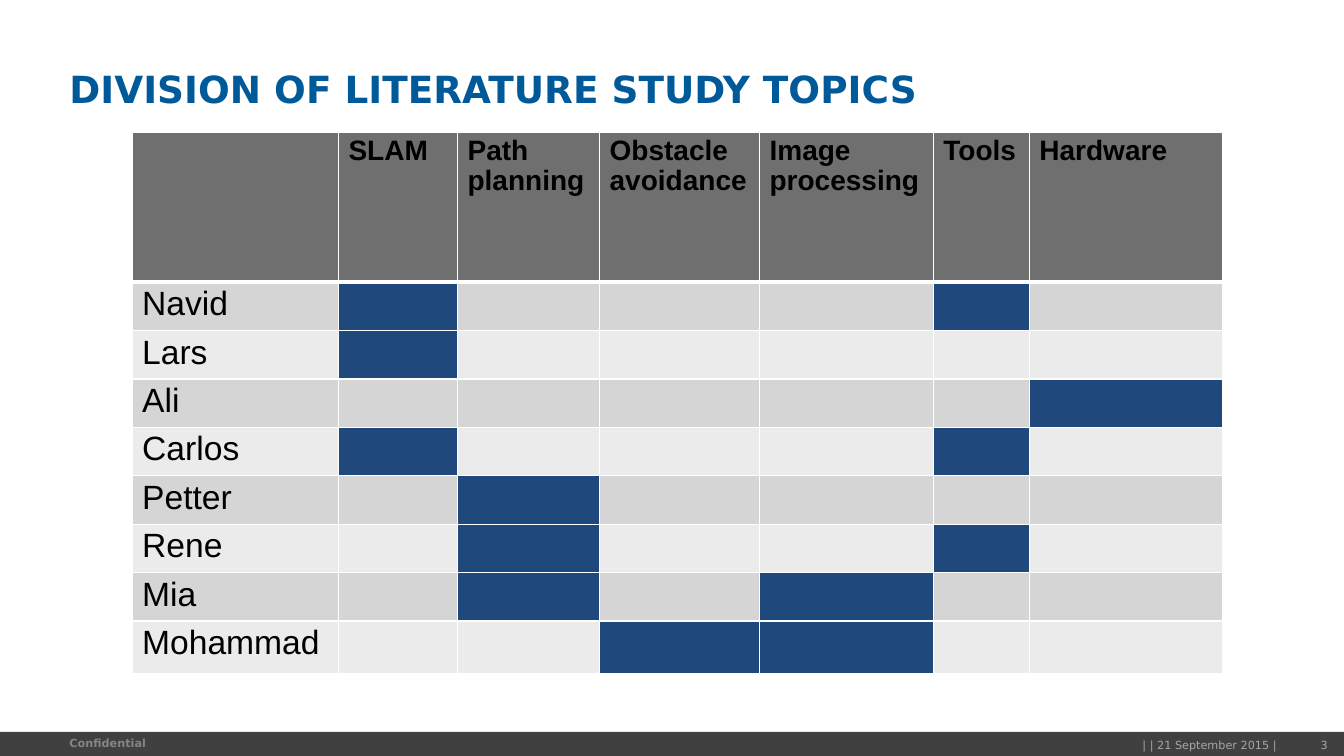
from lxml import etree
from pptx import Presentation
from pptx.dml.color import RGBColor
from pptx.enum.shapes import MSO_SHAPE
from pptx.enum.text import MSO_ANCHOR, PP_ALIGN
from pptx.oxml.ns import qn
from pptx.util import Cm, Pt

RECT = MSO_SHAPE.RECTANGLE
MIDDLE, BOTTOM = MSO_ANCHOR.MIDDLE, MSO_ANCHOR.BOTTOM
LEFT, RIGHT = PP_ALIGN.LEFT, PP_ALIGN.RIGHT

SANS, ARIAL = "DejaVu Sans", "Arial"
HEAD, DARK, LIGHT, MARK = "6F6F6F", "D5D5D5", "EBEBEB", "1F497D"

TOPICS = ["SLAM", "Path planning", "Obstacle avoidance",
          "Image processing", "Tools", "Hardware"]
PEOPLE = {
    "Navid": ["SLAM", "Tools"],
    "Lars": ["SLAM"],
    "Ali": ["Hardware"],
    "Carlos": ["SLAM", "Tools"],
    "Petter": ["Path planning"],
    "Rene": ["Path planning", "Tools"],
    "Mia": ["Path planning", "Image processing"],
    "Mohammad": ["Obstacle avoidance", "Image processing"],
}
WIDTHS = [5.2, 3, 3.58, 4.03, 4.38, 2.42, 4.86]
HEIGHTS = [3.78] + [1.2] * 7 + [1.32]


def color(code):
    return RGBColor.from_string(code)


def write(frame, text, size, ink, font=SANS, bold=False, align=LEFT, space=0.95):
    para = frame.paragraphs[0]
    para.alignment = align
    para.line_spacing = space
    run = para.add_run()
    run.text = text
    run.font.name = font
    run.font.size = Pt(size)
    run.font.bold = bold
    run.font.color.rgb = color(ink)


def label(slide, box, text, anchor=MIDDLE, **style):
    frame = slide.shapes.add_textbox(*map(Cm, box)).text_frame
    frame.word_wrap = True
    frame.vertical_anchor = anchor
    frame.margin_left = frame.margin_right = 0
    frame.margin_top = frame.margin_bottom = 0
    write(frame, text, **style)


def border(cell, side, width):
    props = cell._tc.get_or_add_tcPr()
    line = etree.SubElement(props, qn("a:ln" + side), w=str(Pt(width)))
    fill = etree.SubElement(line, qn("a:solidFill"))
    etree.SubElement(fill, qn("a:srgbClr"), val="FFFFFF")


def paint(cell, row, fill):
    for side in "LRTB":
        thick = (row, side) in [(0, "B"), (1, "T")]
        border(cell, side, 3 if thick else 1)
    cell.fill.solid()
    cell.fill.fore_color.rgb = color(fill)


def matrix(slide, left, top):
    box = [left, top, sum(WIDTHS), sum(HEIGHTS)]
    table = slide.shapes.add_table(
        len(HEIGHTS), len(WIDTHS), *map(Cm, box)).table
    table.first_row = table.horz_banding = False
    for col, width in zip(table.columns, WIDTHS):
        col.width = Cm(width)
    for row, height in zip(table.rows, HEIGHTS):
        row.height = Cm(height)

    paint(table.cell(0, 0), 0, HEAD)
    for col, topic in enumerate(TOPICS, 1):
        cell = table.cell(0, col)
        paint(cell, 0, HEAD)
        write(cell.text_frame, topic, 20, "000000", font=ARIAL, bold=True)
    for row, (name, picks) in enumerate(PEOPLE.items(), 1):
        band = DARK if row % 2 else LIGHT
        first = table.cell(row, 0)
        paint(first, row, band)
        write(first.text_frame, name, 24, "000000", font=ARIAL)
        for col, topic in enumerate(TOPICS, 1):
            paint(table.cell(row, col), row, MARK if topic in picks else band)


def footer(slide, left, top, width, height):
    bar = slide.shapes.add_shape(RECT, *map(Cm, (left, top, width, height)))
    bar.shadow.inherit = False
    bar.fill.solid()
    bar.fill.fore_color.rgb = color("404040")
    bar.line.fill.background()
    line = top + 0.1
    label(slide, (left + 1.75, line - 0.02, 6.65, 0.45), "Confidential",
          size=8, ink="858585", bold=True)
    label(slide, (left + 8.4, line, 23.78, 0.45), "| | 21 September 2015 |",
          size=8, ink="A6A6A6", align=RIGHT, space=1)
    label(slide, (left + 32.46, line, 1, 0.45), "3",
          size=8, ink="A6A6A6", align=RIGHT, space=1)


def main():
    deck = Presentation()
    deck.slide_width, deck.slide_height = Cm(33.87), Cm(19.05)
    slide = deck.slides.add_slide(deck.slide_layouts[6])
    footer(slide, 0, 18.44, 33.87, 0.61)
    label(slide, (1.75, 0.97, 25.32, 1.85), "DIVISION OF LITERATURE STUDY TOPICS",
          anchor=BOTTOM, size=26.7, ink="005A99", bold=True)
    matrix(slide, 3.33, 3.33)
    deck.save("out.pptx")


if __name__ == "__main__":
    main()
